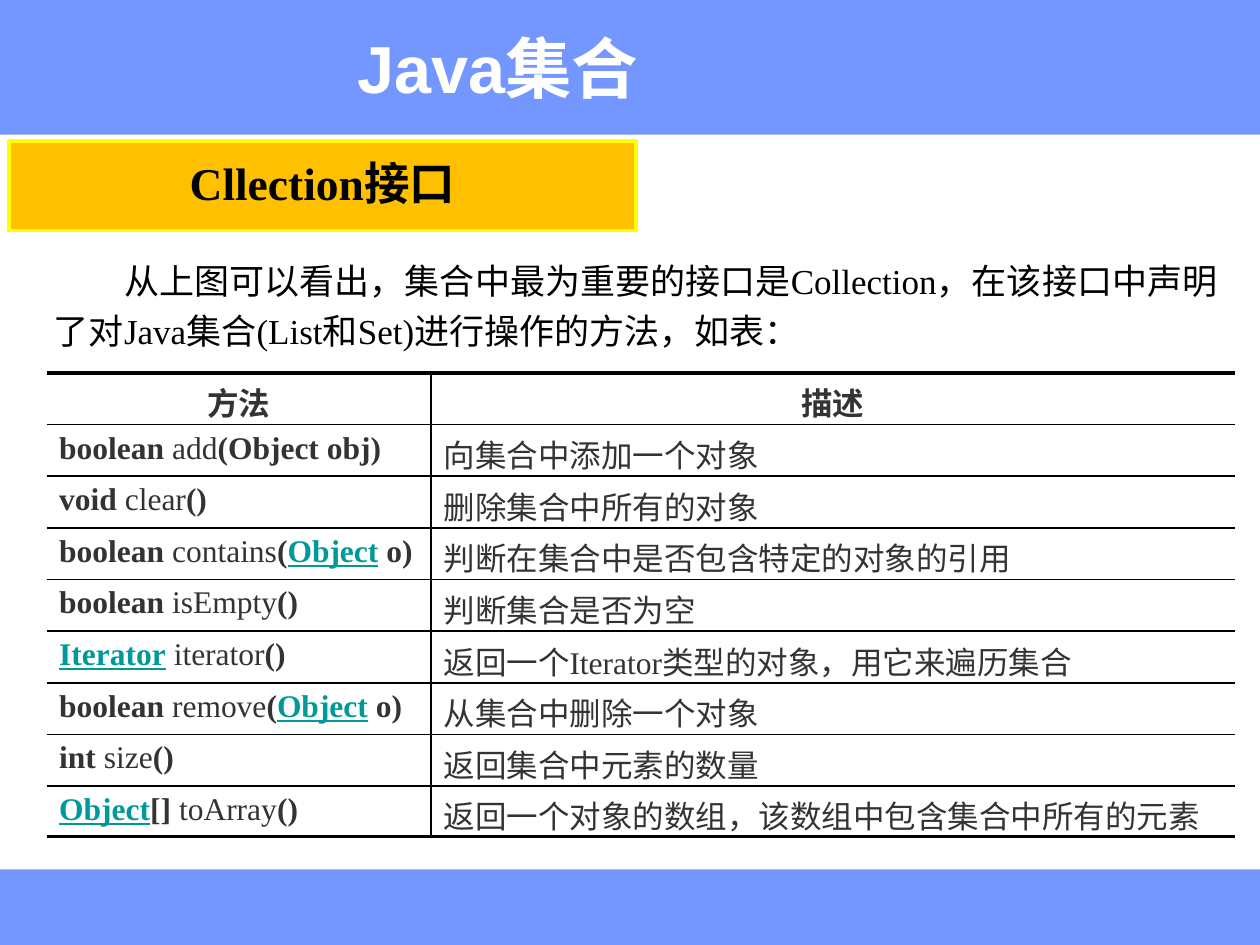
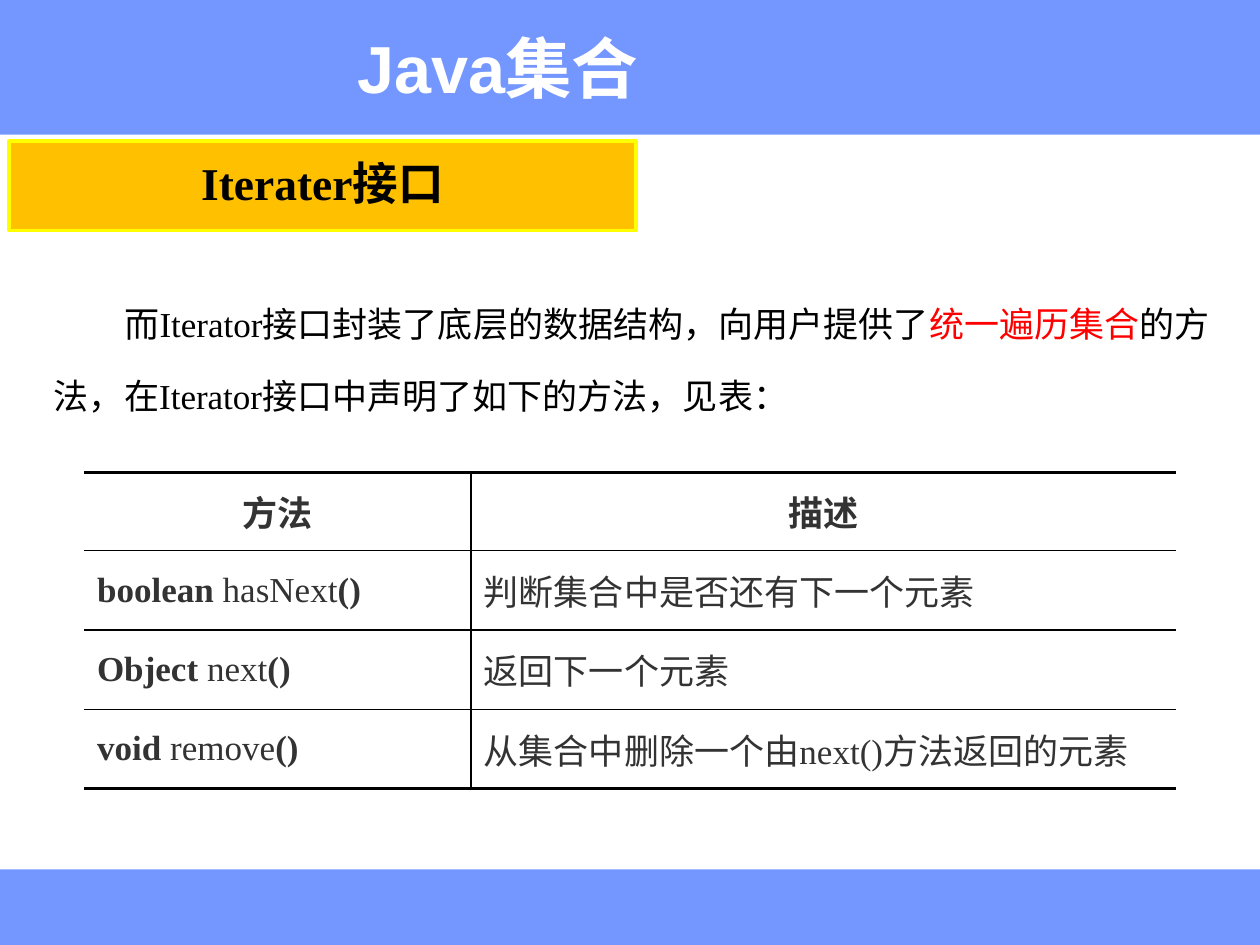
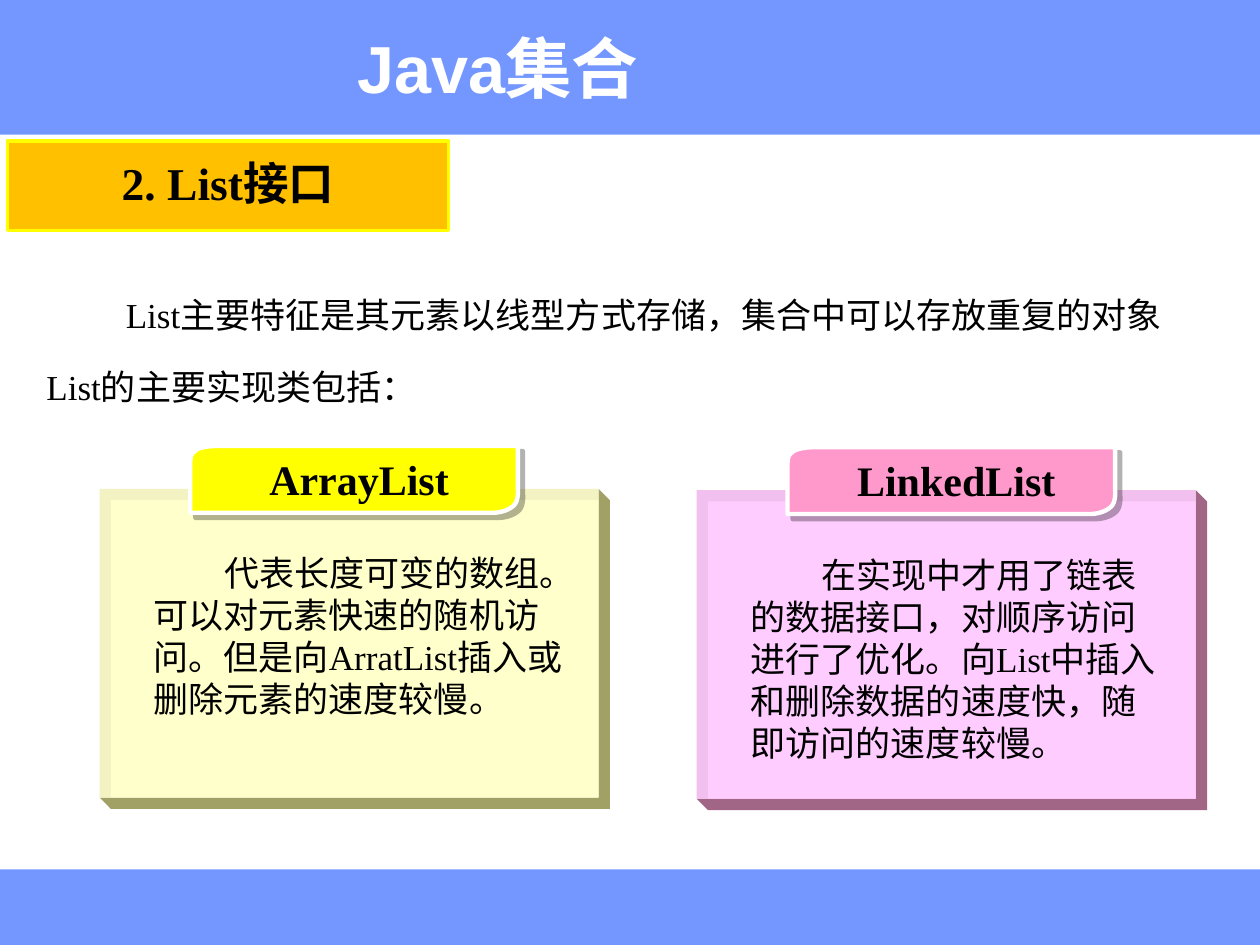
from lxml.etree import SubElement
from pptx import Presentation
from pptx.dml.color import RGBColor
from pptx.enum.shapes import MSO_SHAPE
from pptx.enum.text import MSO_ANCHOR, PP_ALIGN
from pptx.oxml.ns import qn
from pptx.util import Inches, Pt

BLUE, GOLD, YELLOW, WHITE = "3366FF", "FFC000", "FFFF00", "FFFFFF"
BLACK, GREY, RED, TEAL = "000000", "333333", "FF0000", "009999"
SERIF, SANS = "Times New Roman", "Arial"
INDENT = 0.56


def rgb(color):
    """Turn a hex string into a colour."""
    return RGBColor.from_string(color)


def bold(text):
    """Return a bold run."""
    return text, {"bold": True}


def link(text):
    """Return a run styled like a hyperlink."""
    return text, {"bold": True, "underline": True, "color": TEAL}


def bezier(p0, p1, p2, p3, steps=12):
    """Return points along a cubic curve, without its start."""
    points = []
    for i in range(1, steps + 1):
        t = i / steps
        u = 1 - t
        weights = (u ** 3, 3 * u * u * t, 3 * u * t * t, t ** 3)
        points.append(tuple(sum(w * q[axis] for w, q in zip(weights, (p0, p1, p2, p3)))
                            for axis in (0, 1)))
    return points


class Deck:
    """Holds the shared style and the current slide."""

    def __init__(self):
        """Start an empty 10 by 7.5 inch presentation."""
        self.prs = Presentation()
        self.prs.slide_width, self.prs.slide_height = Inches(10), Inches(7.5)
        self.s = None

    def slide(self, heading, left=0.07, width=4.98):
        """Add a slide with bands, title and section heading."""
        self.s = self.prs.slides.add_slide(self.prs.slide_layouts[6])
        for top, height in ((0, 1.07), (6.9, 0.6)):
            self.rect(0, top, 10, height, BLUE, alpha=68)
        self.text(0, 0.02, 7.9, 1.02, [["Java集合"]], 38, align=PP_ALIGN.CENTER,
                  anchor=MSO_ANCHOR.MIDDLE, font=SANS, color=WHITE, bold=True)
        self.rect(left, 1.12, width, 0.71, GOLD, line=YELLOW)
        self.text(left + 0.08, 1.18, width - 0.16, 0.53, [[heading]], 26,
                  align=PP_ALIGN.CENTER, bold=True)

    def paint(self, sp, fill, line=None, weight=2, alpha=None):
        """Set fill, line and no shadow on a shape."""
        sp.shadow.inherit = False
        sp.fill.solid()
        sp.fill.fore_color.rgb = rgb(fill)
        if alpha:
            clr = sp._element.spPr.find(".//" + qn("a:srgbClr"))
            SubElement(clr, qn("a:alpha"), val=str(alpha * 1000))
        if line:
            sp.line.color.rgb = rgb(line)
            sp.line.width = Pt(weight)
        else:
            sp.line.fill.background()
        return sp

    def rect(self, x, y, w, h, fill, line=None, alpha=None):
        """Add a rectangle."""
        sp = self.s.shapes.add_shape(MSO_SHAPE.RECTANGLE, Inches(x), Inches(y), Inches(w), Inches(h))
        return self.paint(sp, fill, line, alpha=alpha)

    def outline(self, x, y, points, fill, line=None, weight=2):
        """Add a closed freeform from points relative to x, y."""
        pts = [(Inches(x + dx), Inches(y + dy)) for dx, dy in points]
        builder = self.s.shapes.build_freeform(*pts[0])
        builder.add_line_segments(pts[1:], close=True)
        return self.paint(builder.convert_to_shape(), fill, line, weight)

    def run(self, p, item, size, font=SERIF, color=BLACK, bold=False, underline=False):
        """Add one run, given as text or as text with its own style."""
        text, own = (item, {}) if isinstance(item, str) else item
        r = p.add_run()
        r.text = text
        r.font.size = Pt(size)
        r.font.name = font
        r.font.bold = own.get("bold", bold)
        r.font.underline = own.get("underline", underline)
        r.font.color.rgb = rgb(own.get("color", color))

    def text(self, x, y, w, h, paragraphs, size, align=PP_ALIGN.LEFT, anchor=MSO_ANCHOR.TOP,
             spacing=None, indent=0, **style):
        """Add a text box; the indent applies to its first line."""
        tf = self.s.shapes.add_textbox(Inches(x), Inches(y), Inches(w), Inches(h)).text_frame
        tf.word_wrap = True
        tf.vertical_anchor = anchor
        for i, runs in enumerate(paragraphs):
            p = tf.add_paragraph() if i else tf.paragraphs[0]
            p.alignment = align
            if spacing:
                p.line_spacing = spacing
            if indent and i == 0:
                p._p.get_or_add_pPr().set("indent", str(Inches(indent)))
            for item in runs:
                self.run(p, item, size, **style)

    def border(self, cell, side, weight):
        """Draw one side of a cell, or clear it when weight is 0."""
        tcPr = cell._tc.get_or_add_tcPr()
        ln = SubElement(tcPr, qn("a:ln" + side), w=str(Pt(weight)))
        if weight:
            fill = SubElement(ln, qn("a:solidFill"))
            SubElement(fill, qn("a:srgbClr"), val=BLACK)
        else:
            SubElement(ln, qn("a:noFill"))

    def table(self, x, y, cols, heights, methods, size, anchor):
        """Add a ruled table of methods and descriptions."""
        rows = [([bold("方法")], bold("描述"))] + methods
        last = len(rows) - 1
        tb = self.s.shapes.add_table(len(rows), 2, Inches(x), Inches(y),
                                     Inches(sum(cols)), Inches(sum(heights))).table
        tb.first_row = tb.horz_banding = False
        for col, width in zip(tb.columns, cols):
            col.width = Inches(width)
        for i, (signature, description) in enumerate(rows):
            tb.rows[i].height = Inches(heights[i])
            for j, runs in enumerate((signature, [description])):
                cell = tb.cell(i, j)
                cell.vertical_anchor = anchor
                weights = {"L": j, "R": 1 - j, "T": 1 if i else 2.25, "B": 2.25 if i == last else 1}
                for side, weight in weights.items():
                    self.border(cell, side, weight)
                cell.fill.background()
                p = cell.text_frame.paragraphs[0]
                p.alignment = PP_ALIGN.LEFT if i else PP_ALIGN.CENTER
                for item in runs:
                    self.run(p, item, size, color=GREY)

    def card(self, x, y, name, body, face, edge, side, tag):
        """Add a raised panel with a name tag and a body text."""
        w, h, d = 3.96, 2.45, 0.09
        self.outline(x, y, [(w, 0), (w + d, d), (w + d, h + d), (d, h + d), (0, h), (w, h)], side)
        self.rect(x, y, w, h, edge)
        self.rect(x + d, y + d, w - d, h - d, face)
        points = [(0.92, -0.34), (3.32, -0.34), (3.32, 0)]
        points += bezier((3.32, 0), (3.32, 0), (3.33, 0.09), (3.29, 0.13))
        points += bezier((3.29, 0.13), (3.26, 0.16), (3.2, 0.19), (3.12, 0.19))
        points += [(0.72, 0.19), (0.72, -0.19)]
        points += bezier((0.72, -0.19), (0.72, -0.27), (0.73, -0.28), (0.77, -0.31))
        points += bezier((0.77, -0.31), (0.8, -0.33), (0.88, -0.34), (0.92, -0.34))
        sp = self.outline(x, y, points[:-1], tag, WHITE, 2.5)
        effects = sp._element.spPr.find(qn("a:effectLst"))
        shadow = SubElement(effects, qn("a:outerShdw"), dist=str(Pt(4.2)), dir="2700000", algn="ctr")
        clr = SubElement(shadow, qn("a:srgbClr"), val=BLACK)
        SubElement(clr, qn("a:alpha"), val="29000")
        self.text(x + 1.06, y - 0.33, 2, 0.5, [[name]], 24, align=PP_ALIGN.CENTER, bold=True)
        self.text(x + 0.33, y + 0.45, 3.45, 1.77, [[body]], 20, indent=INDENT)


def main():
    """Build the three slides."""
    deck = Deck()

    deck.slide("Cllection接口")
    deck.table(0.37, 2.96, (3.05, 6.38), [0.41] * 8 + [0.4], [
        ([bold("boolean "), "add", bold("(Object obj)")], "向集合中添加一个对象"),
        ([bold("void "), "clear", bold("()")], "删除集合中所有的对象"),
        ([bold("boolean "), "contains", bold("("), link("Object"), bold(" o)")],
         "判断在集合中是否包含特定的对象的引用"),
        ([bold("boolean "), "isEmpty", bold("()")], "判断集合是否为空"),
        ([link("Iterator"), bold(" "), "iterator", bold("()")],
         "返回一个Iterator类型的对象，用它来遍历集合"),
        ([bold("boolean "), "remove", bold("("), link("Object"), bold(" o)")],
         "从集合中删除一个对象"),
        ([bold("int "), "size", bold("()")], "返回集合中元素的数量"),
        ([link("Object"), bold("[] "), "toArray", bold("()")],
         "返回一个对象的数组，该数组中包含集合中所有的元素"),
    ], 18, MSO_ANCHOR.TOP)
    deck.text(0.33, 1.94, 9.47, 0.9, [[
        "从上图可以看出，集合中最为重要的接口是Collection，"
        "在该接口中声明了对Java集合(List和Set)进行操作的方法，如表："
    ]], 20, spacing=1.2, indent=INDENT)

    deck.slide("Iterater接口")
    deck.text(0.33, 2.12, 9.47, 1.16, [[
        "而Iterator接口封装了底层的数据结构，向用户提供了",
        ("统一遍历集合", {"color": RED}),
        "的方法，在Iterator接口中声明了如下的方法，见表：",
    ]], 20, spacing=1.7, indent=INDENT)
    deck.table(0.67, 3.75, (3.07, 5.59), [0.62] + [0.63] * 3, [
        ([bold("boolean "), "hasNext", bold("()")], "判断集合中是否还有下一个元素"),
        ([bold("Object"), " next", bold("()")], "返回下一个元素"),
        ([bold("void "), "remove", bold("()")], "从集合中删除一个由next()方法返回的元素"),
    ], 20, MSO_ANCHOR.MIDDLE)

    deck.slide("2. List接口", 0.06, 3.5)
    deck.text(0.27, 2.05, 9.45, 1.23, [
        ["List主要特征是其元素以线型方式存储，集合中可以存放重复的对象"],
        ["List的主要实现类包括："],
    ], 20, spacing=1.7, indent=0.63)
    deck.card(0.79, 3.88, "ArrayList",
              "代表长度可变的数组。可以对元素快速的随机访问。但是向ArratList插入或删除元素的速度较慢。",
              "FFFFCC", "F2F2C2", "A1A165", YELLOW)
    deck.card(5.53, 3.89, "LinkedList",
              "在实现中才用了链表的数据接口，对顺序访问进行了优化。"
              "向List中插入和删除数据的速度快，随即访问的速度较慢。",
              "FFCCFF", "F2C0EE", "A16585", "FF99CC")

    deck.prs.save("out.pptx")


if __name__ == "__main__":
    main()
